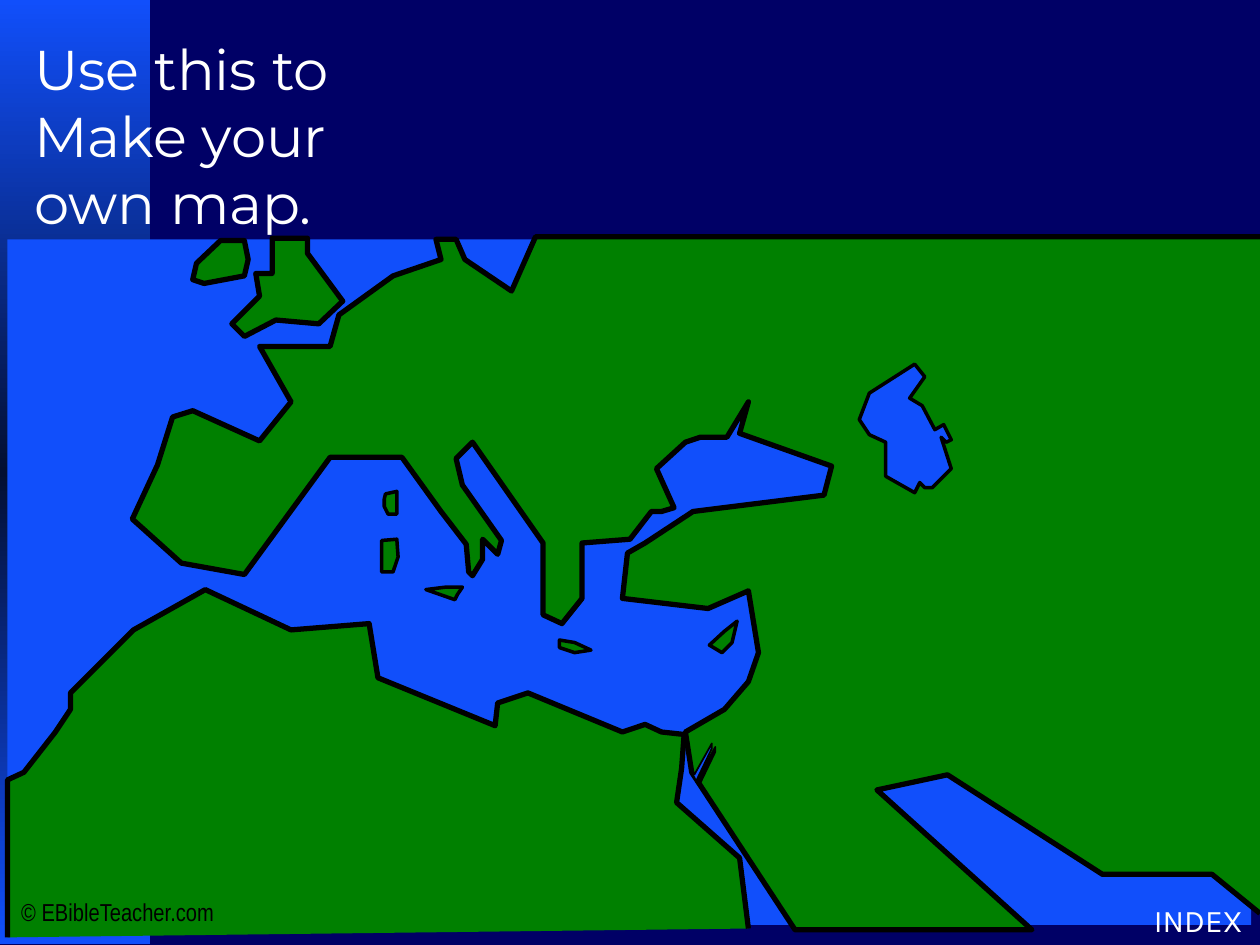
import copy

import lxml.etree
import pptx
import pptx.dml.color
import pptx.enum.shapes
import pptx.enum.text
import pptx.oxml.ns
import pptx.util

PX = 9144  # EMU per px, 100 px to the inch
NAVY, SEA, DEEP, LAND = "000066", "114FFB", "030F32", "008000"
BLACK, WHITE = "000000", "FFFFFF"


def color(value):
    return pptx.dml.color.RGBColor.from_string(value)


class MapPage:
    """Holds the current slide, the shape tree being filled and the map style."""

    def __init__(self, deck):
        self.slide = deck.slides.add_slide(deck.slide_layouts[5])
        self.shapes = self.slide.shapes
        fill = self.slide.background.fill
        fill.solid()
        fill.fore_color.rgb = color(NAVY)

    def place(self, shape, left, top, width, height):
        shape.left, shape.top = left * PX, top * PX
        shape.width, shape.height = width * PX, height * PX

    def add_text(self, box, text, size, font, ink, wrap):
        frame = box.text_frame
        frame.auto_size = pptx.enum.text.MSO_AUTO_SIZE.NONE
        frame.word_wrap = wrap
        frame.vertical_anchor = pptx.enum.text.MSO_ANCHOR.TOP
        para = frame.paragraphs[0]
        para.alignment = pptx.enum.text.PP_ALIGN.LEFT
        span = para.add_run()
        span.text = text
        span.font.size = pptx.util.Pt(size)
        span.font.name = font
        span.font.color.rgb = color(ink)

    def title(self, text, *bounds):
        box = self.slide.shapes.title
        self.place(box, *bounds)
        self.add_text(box, text, 32, "Montserrat", WHITE, True)

    def label(self, text, size, font, ink, *bounds):
        box = self.shapes.add_textbox(*(value * PX for value in bounds))
        self.add_text(box, text, size, font, ink, False)

    def rectangle(self, fill, *bounds):
        shape = self.shapes.add_shape(
            pptx.enum.shapes.MSO_SHAPE.RECTANGLE, *(value * PX for value in bounds))
        shape.shadow.inherit = False
        shape.line.fill.background()
        shape.fill.solid()
        shape.fill.fore_color.rgb = color(fill)
        return shape

    def gradient_band(self, edge, middle, *bounds):
        band = self.rectangle(edge, *bounds)
        band.fill.gradient()
        band.fill.gradient_angle = 90
        first, last = band.fill.gradient_stops
        for stop, position in ((first, 0), (last, 1)):
            stop.color.rgb = color(edge)
            stop.position = position
        # A third stop goes between the two ends
        stops = band._element.spPr.find(".//" + pptx.oxml.ns.qn("a:gsLst"))
        stops.insert(1, copy.deepcopy(stops[0]))
        center = band.fill.gradient_stops[1]
        center.color.rgb = color(middle)
        center.position = 0.5
        # The band lies behind the title
        self.slide.shapes._spTree.insert(2, band._element)

    def outline(self, points, fill=LAND, weight=3, close=True):
        builder = self.shapes.build_freeform(*points[0], scale=PX)
        builder.add_line_segments(points[1:], close=close)
        shape = builder.convert_to_shape()
        shape.shadow.inherit = False
        shape.fill.solid()
        shape.fill.fore_color.rgb = color(fill)
        shape.line.color.rgb = color(BLACK)
        shape.line.width = pptx.util.Pt(weight)
        return shape

    def drop_shadow(self, shape, distance):
        qn = pptx.oxml.ns.qn
        effects = shape._element.spPr.find(qn("a:effectLst"))
        shadow = lxml.etree.SubElement(
            effects, qn("a:outerShdw"), dist=str(pptx.util.Pt(distance)),
            dir="2700000", algn="ctr", rotWithShape="0")
        lxml.etree.SubElement(shadow, qn("a:srgbClr"), val=BLACK)


AFRICA = [
    (594, 737), (587, 681), (537, 637), (541, 610), (543, 583), (525, 581),
    (512, 575), (494, 581), (419, 550), (395, 558), (393, 576), (300, 538),
    (293, 495), (231, 500), (163, 468), (106, 500), (56, 550), (56, 563),
    (44, 581), (19, 613), (6, 619), (6, 744)]
EURASIA = [
    # Arabia and the Levant
    (1000, 725), (962, 694), (875, 694), (752, 615), (696, 627), (819, 738),
    (631, 738), (549, 613), (544, 581), (575, 563), (594, 541), (602, 518),
    # Asia Minor and the Black Sea
    (594, 469), (562, 483), (494, 475), (498, 439), (512, 431), (550, 406),
    (654, 393), (660, 370), (587, 344), (594, 319), (577, 347), (556, 347),
    (544, 351), (521, 372), (535, 403), (525, 406), (517, 406), (500, 428),
    # Greece and Italy
    (462, 431), (462, 456), (462, 475), (446, 495), (431, 488), (431, 444),
    (431, 431), (375, 351), (362, 364), (367, 385), (398, 429), (395, 440),
    (383, 428), (383, 444), (375, 457), (372, 454), (370, 432), (350, 406),
    # Iberia and the northern coast
    (319, 363), (262, 363), (194, 456), (144, 447), (105, 412), (125, 369),
    (137, 331), (153, 326), (206, 350), (231, 319), (206, 275), (262, 275),
    (269, 250), (312, 219), (350, 206), (346, 190), (362, 190), (369, 206),
    (406, 231), (425, 188), (1000, 188)]
BRITAIN = [
    (184, 257), (194, 267), (219, 254), (253, 257), (272, 239), (244, 201),
    (244, 189), (216, 189), (216, 217), (203, 217), (206, 235)]
IRELAND = [(175, 191), (194, 191), (197, 206), (194, 219), (162, 225),
           (153, 222), (156, 209)]
CORSICA = [(315, 390), (306, 392), (305, 396), (305, 402), (308, 408), (315, 408)]
SARDINIA = [(315, 428), (303, 429), (303, 454), (312, 454), (316, 442)]
SICILY = [(354, 466), (367, 466), (363, 472), (361, 476), (338, 468)]
CRETE = [(444, 508), (456, 510), (469, 516), (456, 518), (444, 514)]
CYPRUS = [(563, 512), (575, 501), (585, 493), (581, 510), (573, 518)]
AQABA = [(551, 615), (565, 590), (565, 594), (553, 619)]
CASPIAN = [
    (682, 333), (690, 312), (726, 289), (734, 299), (722, 316), (732, 322),
    (742, 341), (749, 337), (755, 349), (751, 351), (747, 347), (755, 372),
    (740, 387), (734, 387), (730, 383), (726, 391), (703, 378), (703, 362),
    (703, 351), (690, 345)]


def main():
    deck = pptx.Presentation()
    deck.slide_width, deck.slide_height = 1000 * PX, 750 * PX
    page = MapPage(deck)

    # Side band and title
    page.gradient_band(SEA, DEEP, 0, 0, 119, 749)
    page.title("Use this to Make your own map.", 17, 22, 293, 170)

    # Map: sea, islands, continents, inland waters
    page.shapes = page.slide.shapes.add_group_shape().shapes
    page.rectangle(SEA, 6, 190, 987, 544)
    page.outline(AFRICA, close=False)
    for island in (CORSICA, SARDINIA, SICILY, CRETE, CYPRUS):
        page.outline(island, weight=2)
    for island in (BRITAIN, IRELAND):
        page.outline(island)
    page.outline(EURASIA, close=False)
    page.drop_shadow(page.outline(AQABA, SEA, 1, close=False), 2.8)
    page.outline(CASPIAN, SEA, 2)
    page.label("© EBibleTeacher.com", 14, "Arial Narrow", BLACK, 7, 707, 189, 33)

    # Index label
    page.shapes = page.slide.shapes
    page.label("INDEX", 18, "Karla", WHITE, 906, 710, 94, 40)

    deck.save("out.pptx")


if __name__ == "__main__":
    main()
